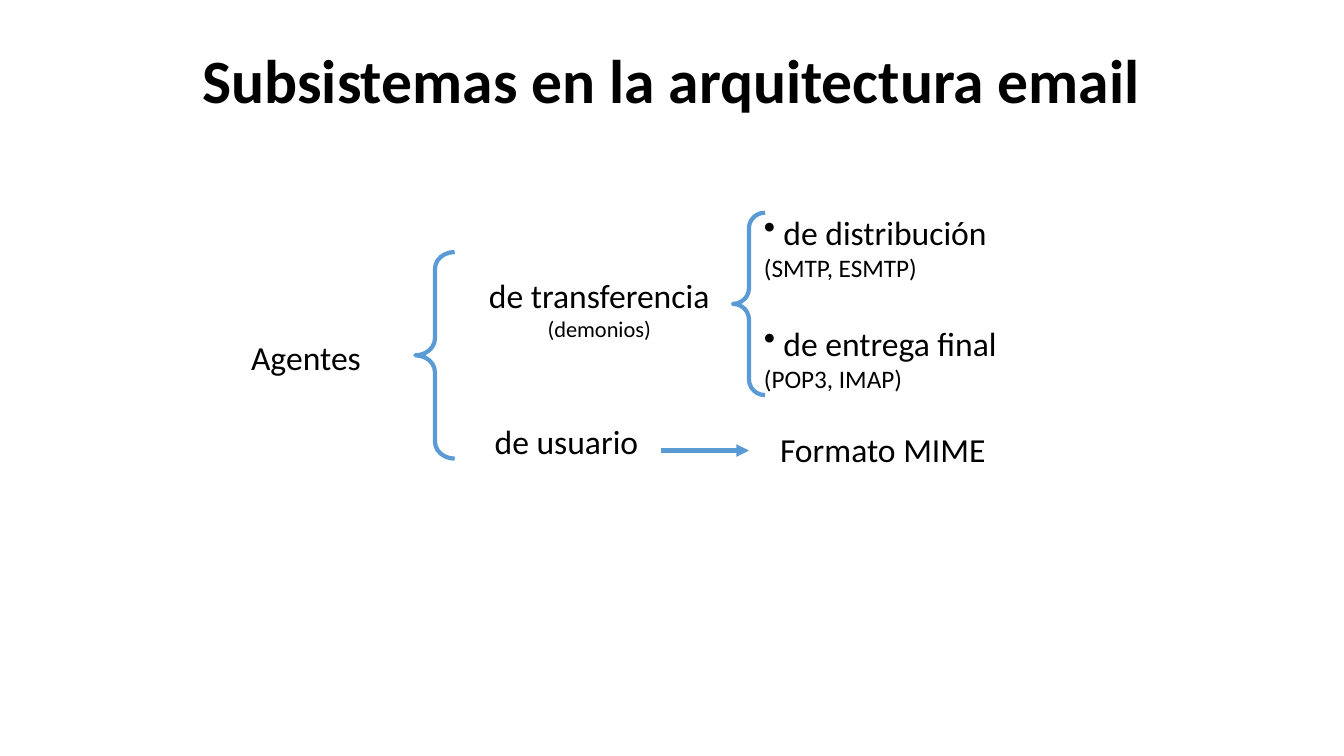
import dataclasses

import pptx
import pptx.dml.color
import pptx.enum.shapes
import pptx.enum.text
import pptx.oxml
import pptx.oxml.ns
import pptx.util

ALIGN = pptx.enum.text.PP_ALIGN
ANCHOR = pptx.enum.text.MSO_ANCHOR


@dataclasses.dataclass(frozen=True)
class Theme:
    """Colours, font, sizes in points and the grid cell in inches."""
    ink: str = "000000"
    accent: str = "5B9BD5"
    font: str = "Calibri"
    title: int = 44
    label: int = 24
    protocol: int = 18
    note: int = 16
    stroke: int = 3
    branch_gap: int = 29
    cell: float = 0.1
    columns: float = 133.33
    rows: float = 75


THEME = Theme()


def grid(*cells):
    """Turn counts of grid cells into lengths."""
    return [pptx.util.Inches(count * THEME.cell) for count in cells]


def drawing_element(parent, tag, **attributes):
    """Append a DrawingML element with attributes to a parent."""
    element = parent.makeelement(pptx.oxml.ns.qn(tag), attributes)
    parent.append(element)
    return element


def add_run(paragraph, words, size, bold=False):
    """Add one run in the theme font and ink."""
    run = paragraph.add_run()
    run.text = words
    run.font.name = THEME.font
    run.font.size = pptx.util.Pt(size)
    run.font.bold = bold
    run.font.color.rgb = pptx.dml.color.RGBColor.from_string(THEME.ink)


def add_frame(slide, area, wrap=False, anchor=ANCHOR.TOP):
    """Add a text box over a grid area and return its text frame."""
    frame = slide.shapes.add_textbox(*grid(*area)).text_frame
    frame.word_wrap = wrap
    frame.vertical_anchor = anchor
    return frame


def add_title(slide, words):
    """Add the bold centred heading across the slide."""
    frame = add_frame(slide, (0, 0, THEME.columns, 16.5), True, ANCHOR.MIDDLE)
    heading = frame.paragraphs[0]
    heading.alignment = ALIGN.CENTER
    heading.line_spacing = 0.9
    add_run(heading, words, THEME.title, bold=True)


def add_label(slide, area, words, note=None, align=ALIGN.CENTER):
    """Add a node label with an optional smaller note below."""
    frame = add_frame(slide, area)
    name = frame.paragraphs[0]
    name.alignment = align
    add_run(name, words, THEME.label)
    if note:
        remark = frame.add_paragraph()
        remark.alignment = align
        add_run(remark, note, THEME.note)


def add_branches(slide, area, branches):
    """Add bulleted branches, each with its protocols on the next line."""
    frame = add_frame(slide, area, wrap=True)
    for index, (branch, protocols) in enumerate(branches):
        item = frame.add_paragraph() if index else frame.paragraphs[0]
        item.space_before = pptx.util.Pt(THEME.branch_gap if index else 0)
        drawing_element(item._p.get_or_add_pPr(), "a:buChar", char="•")
        add_run(item, " " + branch, THEME.label)
        item.add_line_break()
        add_run(item, protocols, THEME.protocol)


def style_line(line):
    """Give a line the accent colour and stroke."""
    line.color.rgb = pptx.dml.color.RGBColor.from_string(THEME.accent)
    line.width = pptx.util.Pt(THEME.stroke)


def add_brace(slide, area, curl):
    """Add an unfilled left brace with the given curl."""
    kind = pptx.enum.shapes.MSO_SHAPE.LEFT_BRACE
    brace = slide.shapes.add_shape(kind, *grid(*area))
    brace.shadow.inherit = False
    brace.fill.background()
    brace.adjustments[0] = curl
    brace.adjustments[1] = 0.5
    style_line(brace.line)


def add_arrow(slide, start, end, row):
    """Add a horizontal arrow along a grid row."""
    kind = pptx.enum.shapes.MSO_CONNECTOR.STRAIGHT
    arrow = slide.shapes.add_connector(kind, *grid(start, row, end, row))
    style_line(arrow.line)
    drawing_element(arrow.line._get_or_add_ln(), "a:tailEnd", type="triangle")
    drawing_element(arrow._element.spPr, "a:effectLst")


def main():
    """Build the slide of email subsystems and save it."""
    deck = pptx.Presentation()
    deck.slide_width, deck.slide_height = grid(THEME.columns, THEME.rows)
    slide = deck.slides.add_slide(deck.slide_layouts[6])
    add_title(slide, "Subsistemas en la arquitectura email")
    add_label(slide, (47.4, 26.8, 24.1, 7.7), "de transferencia", "(demonios)")
    add_label(slide, (23.9, 32.9, 12.9, 5), "Agentes")
    add_label(slide, (48, 41.3, 16.4, 5.1), "de usuario")
    add_brace(slide, (41.2, 25, 3.9, 20.5), 0.43)
    add_brace(slide, (72.7, 21.1, 3.2, 18.1), 0.48)
    add_branches(slide, (74.8, 20.5, 32.5, 19.2), [
        ("de distribución", "(SMTP, ESMTP)"),
        ("de entrega final", "(POP3, IMAP)"),
    ])
    add_arrow(slide, 65.6, 74.3, 44.7)
    add_label(slide, (76.4, 42.1, 22.6, 5.1), "Formato MIME", align=ALIGN.LEFT)
    deck.save("out.pptx")


main()
